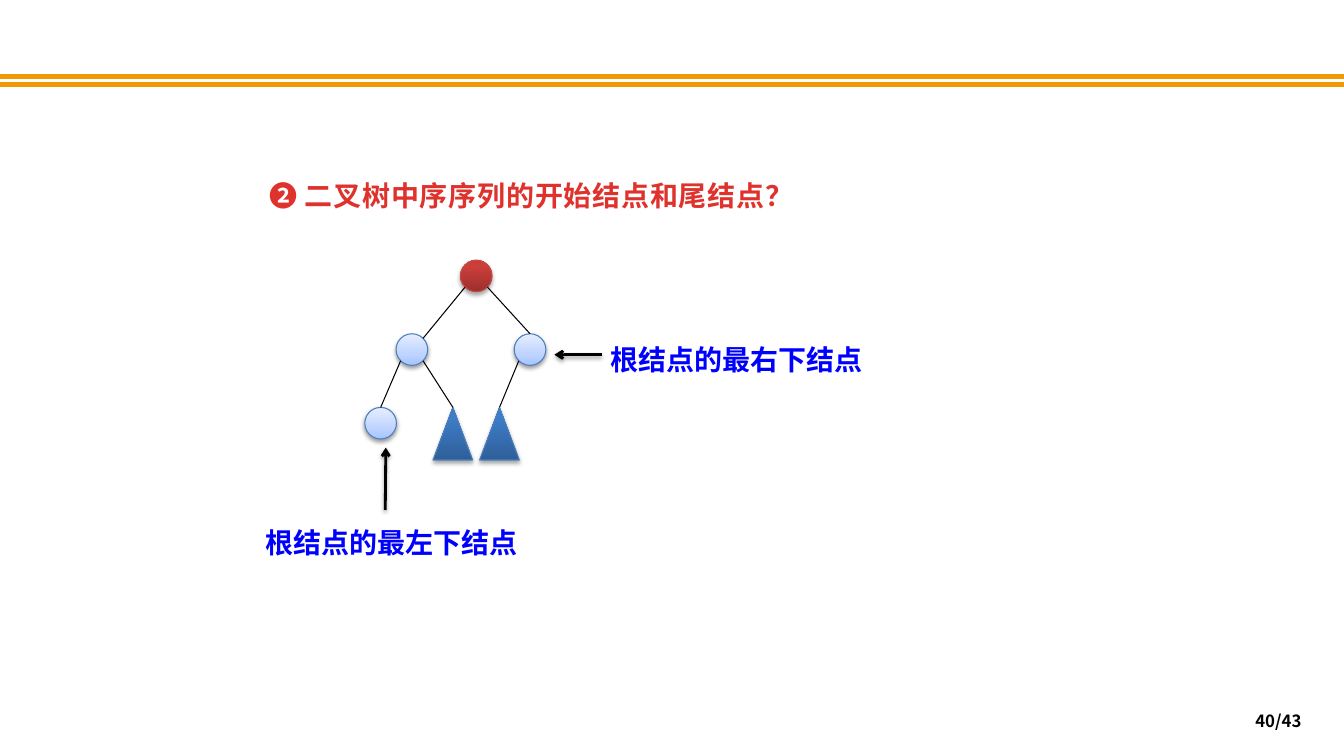
from lxml import etree
from pptx import Presentation
from pptx.dml.color import RGBColor
from pptx.enum.shapes import MSO_CONNECTOR as CONNECTOR, MSO_SHAPE as SHAPE
from pptx.enum.text import MSO_ANCHOR as ANCHOR, PP_ALIGN as ALIGN
from pptx.oxml.ns import qn
from pptx.util import Pt

# Content
TITLE = "❷ 二叉树中序序列的开始结点和尾结点？"
PAGE = "40/43"
FONT = "Noto Sans CJK SC"
COLORS = {"rule": "F19903", "title": "E0322D", "label": "0000FF",
          "black": "000000", "root_line": "BF4C48", "node_line": "4B7EBC"}
# kind: shape, width, height, gradient stops from the bottom up, line, shadow opacity and distance
KINDS = {
    "root": (SHAPE.OVAL, 22.6, 22.6, [(0, "9C2F2D"), (80, "CB3E3A"), (100, "CE3B37")],
             "root_line", 35, 1.8),
    "node": (SHAPE.OVAL, 22.6, 22.6, [(0, "A4C4FF"), (35, "BFD4FF"), (100, "E6EEFF")],
             "node_line", 38, 1.6),
    "subtree": (SHAPE.ISOSCELES_TRIANGLE, 28.4, 37.6,
                [(0, "2F5F99"), (80, "3D7CC7"), (100, "3A7CCB")], "node_line", 35, 1.8),
}
# name: kind, centre x, level
TREE = {
    "root": ("root", 340.2, 0),
    "left": ("node", 294.2, 1),
    "leftmost": ("node", 271.9, 2),
    "right": ("node", 378.6, 1),
    "left subtree": ("subtree", 323.5, 2),
    "right subtree": ("subtree", 356.8, 2),
}
# parent, child, side of the parent, whether the line ends at the child's top
EDGES = [("root", "left", -1, False), ("root", "right", 1, True),
         ("left", "leftmost", -1, True), ("left", "left subtree", 1, True),
         ("right", "right subtree", -1, True)]
# text, box, arrow from x, y to x, y
LABELS = [("根结点的最左下结点", (182.2, 365.8, 214, 37.4), (275.2, 364.3, 275.6, 319.7)),
          ("根结点的最右下结点", (429.1, 235.4, 225, 37.4), (429.8, 253.4, 396, 253.4))]
TREE_TOP, LEVEL_STEP = 185.8, 52.6
DIAGONAL = 0.354  # half the diameter at 45 degrees


def color(name):
    return RGBColor.from_string(COLORS[name])


def add_effects(shape, opacity=None, distance=0):
    effects = etree.SubElement(shape._element.spPr, qn("a:effectLst"))
    if opacity:
        shadow = etree.SubElement(effects, qn("a:outerShdw"), blurRad=str(Pt(3.1)),
                                  dist=str(Pt(distance)), dir="5400000", rotWithShape="0")
        black = etree.SubElement(shadow, qn("a:srgbClr"), val=COLORS["black"])
        etree.SubElement(black, qn("a:alpha"), val=str(opacity * 1000))


def add_line(x1, y1, x2, y2, width, line_color="black", arrow=False):
    line = slide.shapes.add_connector(CONNECTOR.STRAIGHT, Pt(x1), Pt(y1), Pt(x2), Pt(y2))
    line.line.color.rgb = color(line_color)
    line.line.width = Pt(width)
    if arrow:
        etree.SubElement(line.line._get_or_add_ln(), qn("a:tailEnd"), type="arrow")
        add_effects(line, 38, 1.6)
    else:
        add_effects(line)
    return line


def write(shape, text, size, text_color, align=ALIGN.LEFT, anchor=ANCHOR.TOP,
          line_height=None, tracking=None):
    frame = shape.text_frame
    frame.word_wrap = True
    frame.vertical_anchor = anchor
    paragraph = frame.paragraphs[0]
    paragraph.alignment = align
    if line_height:
        paragraph.line_spacing = Pt(line_height)
    run = paragraph.add_run()
    run.text = text
    run.font.size, run.font.bold, run.font.name = Pt(size), True, FONT
    run.font.color.rgb = color(text_color)
    properties = run.font._element
    etree.SubElement(properties, qn("a:ea"), typeface=FONT)
    if tracking:
        properties.set("spc", str(tracking))


def add_tree_part(kind, center_x, level):
    preset, width, height, stops, line_color, opacity, distance = KINDS[kind]
    shape = slide.shapes.add_shape(preset, Pt(center_x - width / 2),
                                   Pt(TREE_TOP + level * LEVEL_STEP), Pt(width), Pt(height))
    shape.fill.gradient()
    shape.fill.gradient_angle = 90
    stop_list = shape._element.spPr.find(".//" + qn("a:gsLst"))
    for stop in list(stop_list):
        stop_list.remove(stop)
    for position, value in stops:
        stop = etree.SubElement(stop_list, qn("a:gs"), pos=str(position * 1000))
        etree.SubElement(stop, qn("a:srgbClr"), val=value)
    shape.line.color.rgb = color(line_color)
    shape.line.width = Pt(0.75)
    add_effects(shape, opacity, distance)
    return shape


presentation = Presentation()
presentation.slide_width, presentation.slide_height = Pt(960), Pt(540)
slide = presentation.slides.add_slide(presentation.slide_layouts[5])

# Double rule
for y in (54.6, 60.4):
    add_line(0, y, 960, y, 3, "rule")

# Title
title = slide.shapes.title
title.left, title.top, title.width, title.height = Pt(185), Pt(118.1), Pt(450), Pt(37.4)
write(title, TITLE, 20, "title", line_height=30, tracking=50)

# Tree
parts = {name: add_tree_part(*part) for name, part in TREE.items()}
for parent, child, side, ends_at_top in EDGES:
    start, end = parts[parent], parts[child]
    reach = start.width.pt * DIAGONAL
    x1 = start.left.pt + start.width.pt / 2 + side * reach
    y1 = start.top.pt + start.height.pt / 2 + reach
    x2 = end.left.pt + end.width.pt / 2 - side * reach
    y2 = end.top.pt + end.height.pt / 2 - reach
    edge = add_line(x1, y1, x2, y2, 0.75)
    if ends_at_top:
        edge.end_connect(end, 0)

# Labels with arrows
for text, box, arrow in LABELS:
    add_line(*arrow, 2, arrow=True)
    label = slide.shapes.add_textbox(*map(Pt, box))
    write(label, text, 20, "label", line_height=30)

# Page number
page = slide.shapes.add_textbox(Pt(712.8), Pt(500.4), Pt(223.9), Pt(28.8))
write(page, PAGE, 12, "black", ALIGN.RIGHT, ANCHOR.MIDDLE)

presentation.save("out.pptx")
